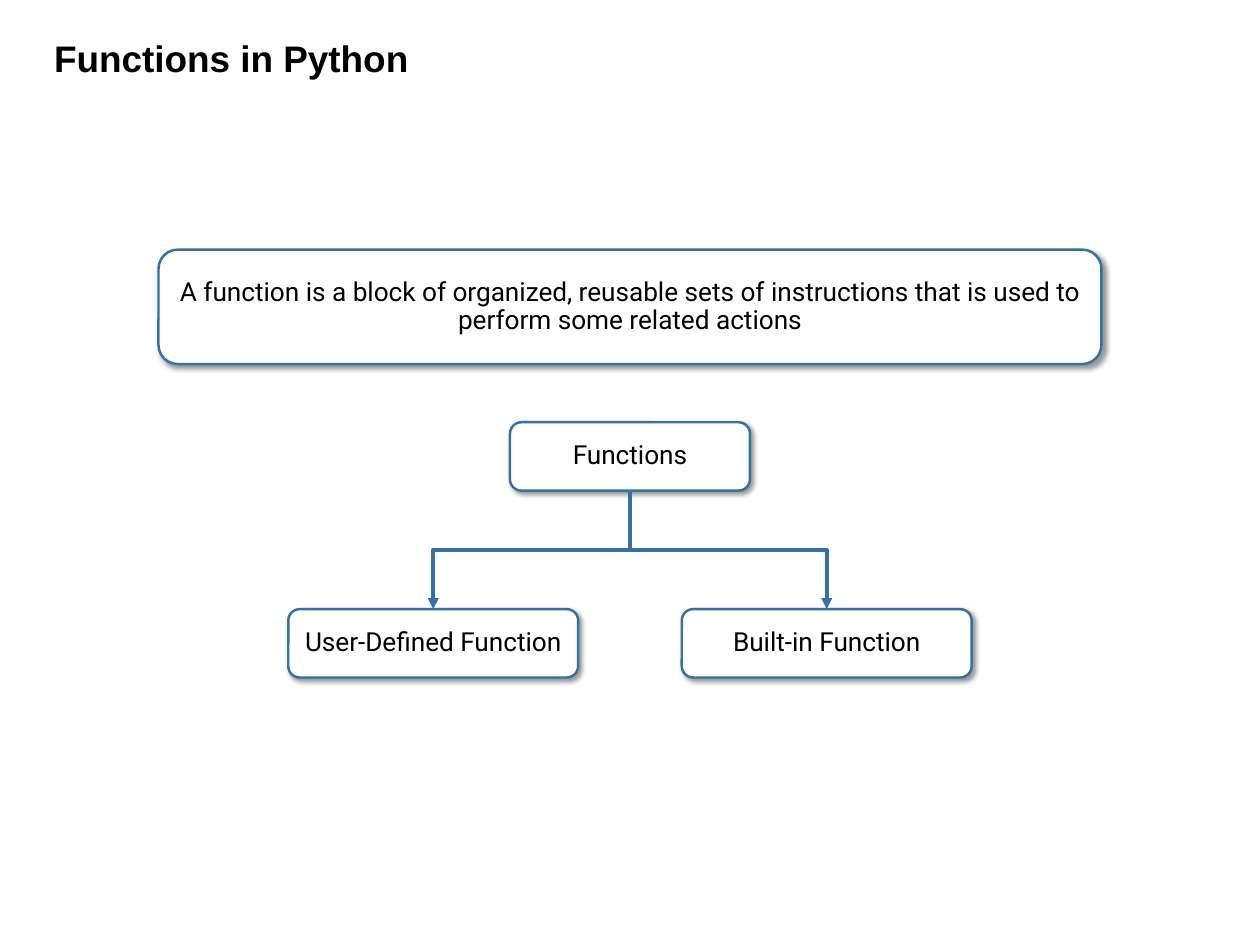
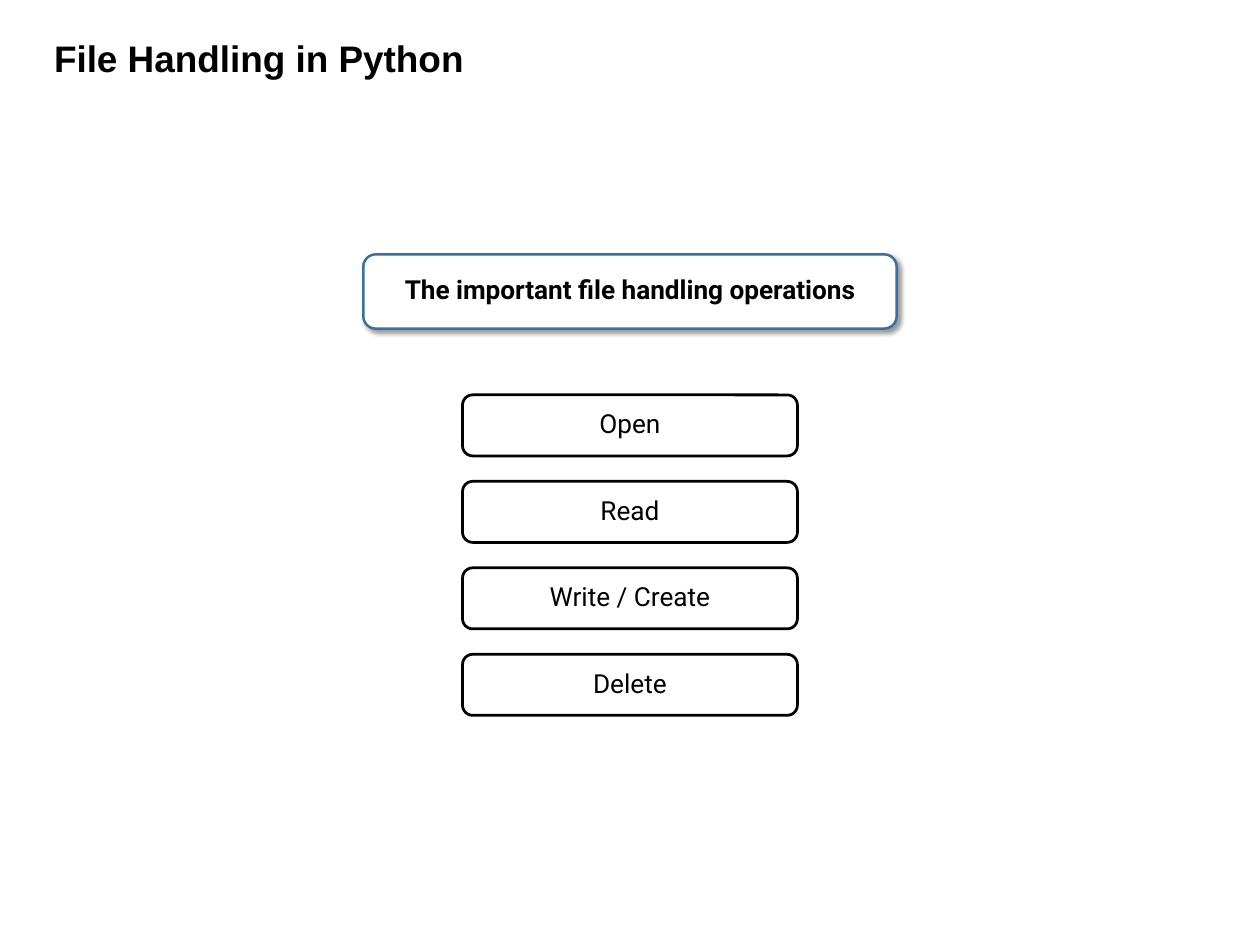
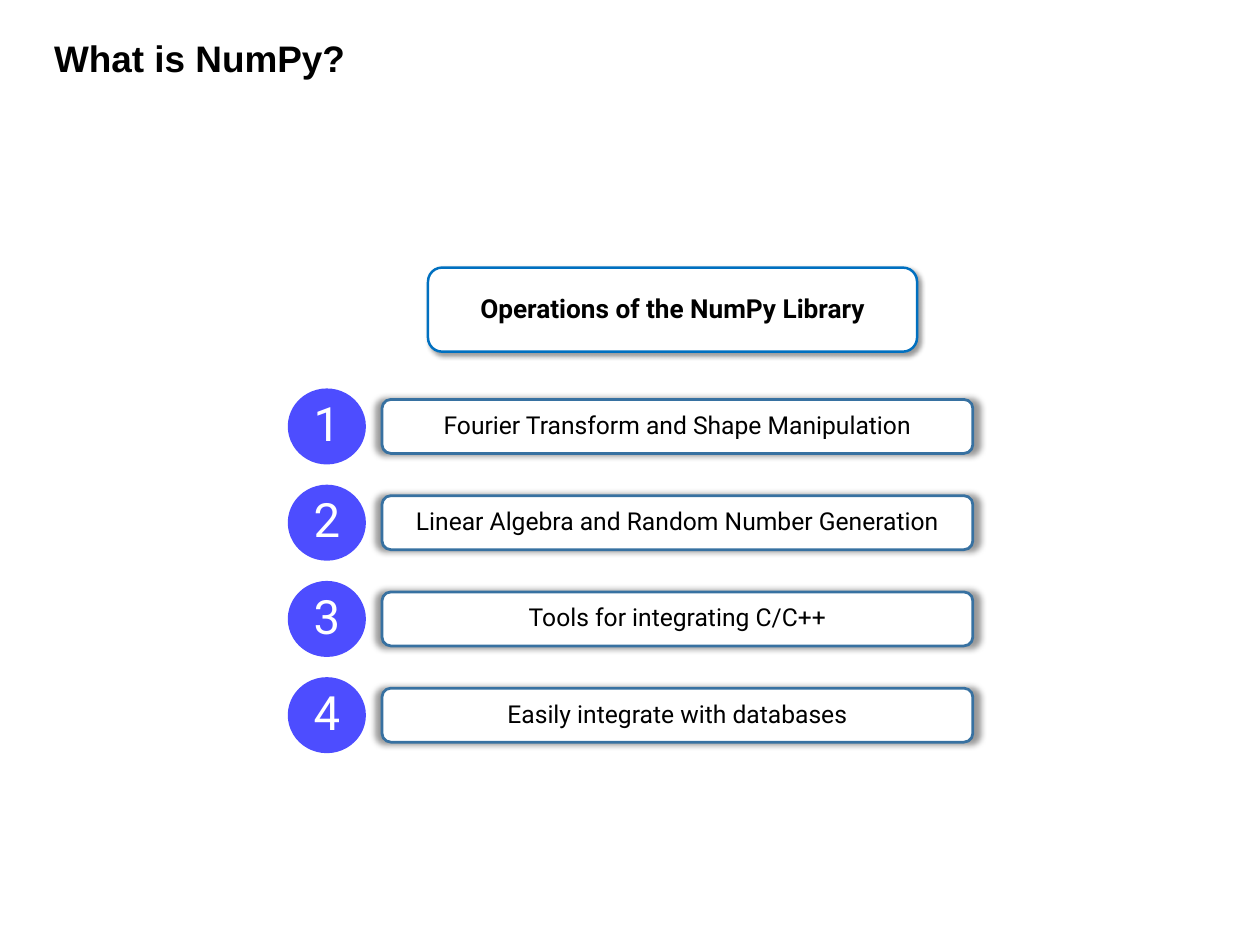
from dataclasses import dataclass
from typing import Optional

from lxml.etree import SubElement as Sub
from pptx import Presentation
from pptx.dml.color import RGBColor as Rgb
from pptx.enum.shapes import MSO_CONNECTOR as Link, MSO_SHAPE as Form
from pptx.enum.text import MSO_ANCHOR as Anchor, PP_ALIGN as Align
from pptx.oxml.ns import qn
from pptx.util import Cm, Pt

WIDE, HIGH = 36.12, 27.1
MID = WIDE / 2
BLUE, SKY, VIOLET = "3771A1", "0070C0", "4D4DFF"
BLACK, WHITE = "000000", "FFFFFF"


@dataclass(frozen=True)
class Shade:
    blur: float
    dist: float = 0
    angle: int = 0
    scale: int = 100
    align: str = "tl"


DROP = Shade(4, 3, 45)
HALO = Shade(5, scale=102, align="ctr")


@dataclass(frozen=True)
class Look:
    form: Form = Form.ROUNDED_RECTANGLE
    fill: str = WHITE
    line: Optional[str] = BLUE
    width: float = 2
    shade: Optional[Shade] = DROP
    ink: str = BLACK
    size: float = 21.3
    bold: bool = False
    inset: float = 0.25


CARD = Look()
HEAD = Look(bold=True)
SKY_HEAD = Look(line=SKY, bold=True)
STEP = Look(line=BLACK, width=2.25, shade=None)
TOPIC = Look(width=2.25, shade=HALO, size=20)
BADGE = Look(form=Form.OVAL, fill=VIOLET, line=None, shade=None,
             ink=WHITE, size=38.4, inset=0)


@dataclass(frozen=True)
class Box:
    text: str
    x: float
    y: float
    w: float
    h: float
    look: Look = CARD


def paint(target, tint: str) -> None:
    target.solid()
    target.fore_color.rgb = Rgb.from_string(tint)


def write(frame, text: str, *, font: str = "Roboto", size: float = 21.3,
          ink: str = BLACK, bold: bool = False, align=Align.CENTER,
          anchor=Anchor.MIDDLE, inset: float = 0.25) -> None:
    frame.word_wrap = True
    frame.vertical_anchor = anchor
    frame.margin_left = frame.margin_right = Cm(inset)
    para = frame.paragraphs[0]
    para.alignment = align
    para.line_spacing = 0.9
    run = para.add_run()
    run.text = text
    run.font.name = font
    run.font.size = Pt(size)
    run.font.bold = bold
    paint(run.font.fill, ink)


def cast(shape, shade: Shade) -> None:
    effects = shape.element.spPr.find(qn("a:effectLst"))
    outer = Sub(effects, qn("a:outerShdw"), {
        "blurRad": str(Pt(shade.blur)), "dist": str(Pt(shade.dist)),
        "dir": str(shade.angle * 60000), "sx": str(shade.scale * 1000),
        "sy": str(shade.scale * 1000), "algn": shade.align,
        "rotWithShape": "0"})
    tint = Sub(outer, qn("a:srgbClr"), val=BLACK)
    Sub(tint, qn("a:alpha"), val="40000")


def draw(slide, box: Box) -> None:
    look = box.look
    shape = slide.shapes.add_shape(
        look.form, Cm(box.x - box.w / 2), Cm(box.y - box.h / 2),
        Cm(box.w), Cm(box.h))
    paint(shape.fill, look.fill)
    if look.line:
        paint(shape.line.fill, look.line)
        shape.line.width = Pt(look.width)
    else:
        shape.line.fill.background()
    shape.shadow.inherit = False
    if look.shade:
        cast(shape, look.shade)
    write(shape.text_frame, box.text, size=look.size, ink=look.ink,
          bold=look.bold, inset=look.inset)


def branch(slide, top: Box, child: Box) -> None:
    start, end = top.y + top.h / 2, child.y - child.h / 2
    x, y = (top.x + child.x) / 2, (start + end) / 2
    run, drop = abs(child.x - top.x) / 2, (end - start) / 2
    left = child.x < top.x
    side = -drop if left else drop
    link = slide.shapes.add_connector(
        Link.ELBOW, Cm(x + side), Cm(y - run), Cm(x - side), Cm(y + run))
    props = link.element.spPr
    props.find(qn("a:xfrm")).set("rot", str((90 if left else 270) * 60000))
    paint(link.line.fill, BLUE)
    link.line.width = Pt(3)
    Sub(props.find(qn("a:ln")), qn("a:tailEnd"), type="triangle")
    Sub(props, qn("a:effectLst"))


def start(deck, title: str):
    slide = deck.slides.add_slide(deck.slide_layouts[6])
    area = slide.shapes.add_textbox(Cm(1.3), Cm(1.04), Cm(17.32), Cm(1.42))
    write(area.text_frame, title, font="Arial", size=30, bold=True,
          align=Align.LEFT, anchor=Anchor.TOP)
    return slide


def tree(deck) -> None:
    slide = start(deck, "Functions in Python")
    draw(slide, Box("A function is a block of organized, reusable sets of "
                    "instructions that is used to perform some related "
                    "actions", MID, 8.8, 27.03, 3.28))
    root = Box("Functions", MID, 13.09, 6.88, 1.96)
    draw(slide, root)
    for text, side in (("User-Defined Function", -1),
                       ("Built-in Function", 1)):
        leaf = Box(text, MID + side * 5.64, 18.45, 8.31, 1.96)
        draw(slide, leaf)
        branch(slide, root, leaf)


def files(deck) -> None:
    slide = start(deck, "File Handling in Python")
    draw(slide, Box("The important file handling operations",
                    MID, 8.36, 15.29, 2.13, HEAD))
    for i, text in enumerate(("Open", "Read", "Write / Create", "Delete")):
        draw(slide, Box(text, MID, 12.2 + i * 2.48, 9.6, 1.75, STEP))


def library(deck) -> None:
    slide = start(deck, "What is NumPy?")
    draw(slide, Box("Operations of the NumPy Library",
                    19.28, 8.88, 14.02, 2.41, SKY_HEAD))
    topics = ("Fourier Transform and Shape Manipulation",
              "Linear Algebra and Random Number Generation",
              "Tools for integrating C/C++",
              "Easily integrate with databases")
    for i, text in enumerate(topics):
        y = 12.23 + i * 2.76
        draw(slide, Box(text, 19.42, y, 16.94, 1.55, TOPIC))
        draw(slide, Box(str(i + 1), 9.37, y, 2.24, 2.18, BADGE))


def main() -> None:
    deck = Presentation()
    deck.slide_width, deck.slide_height = Cm(WIDE), Cm(HIGH)
    for build in (tree, files, library):
        build(deck)
    deck.save("out.pptx")


if __name__ == "__main__":
    main()
